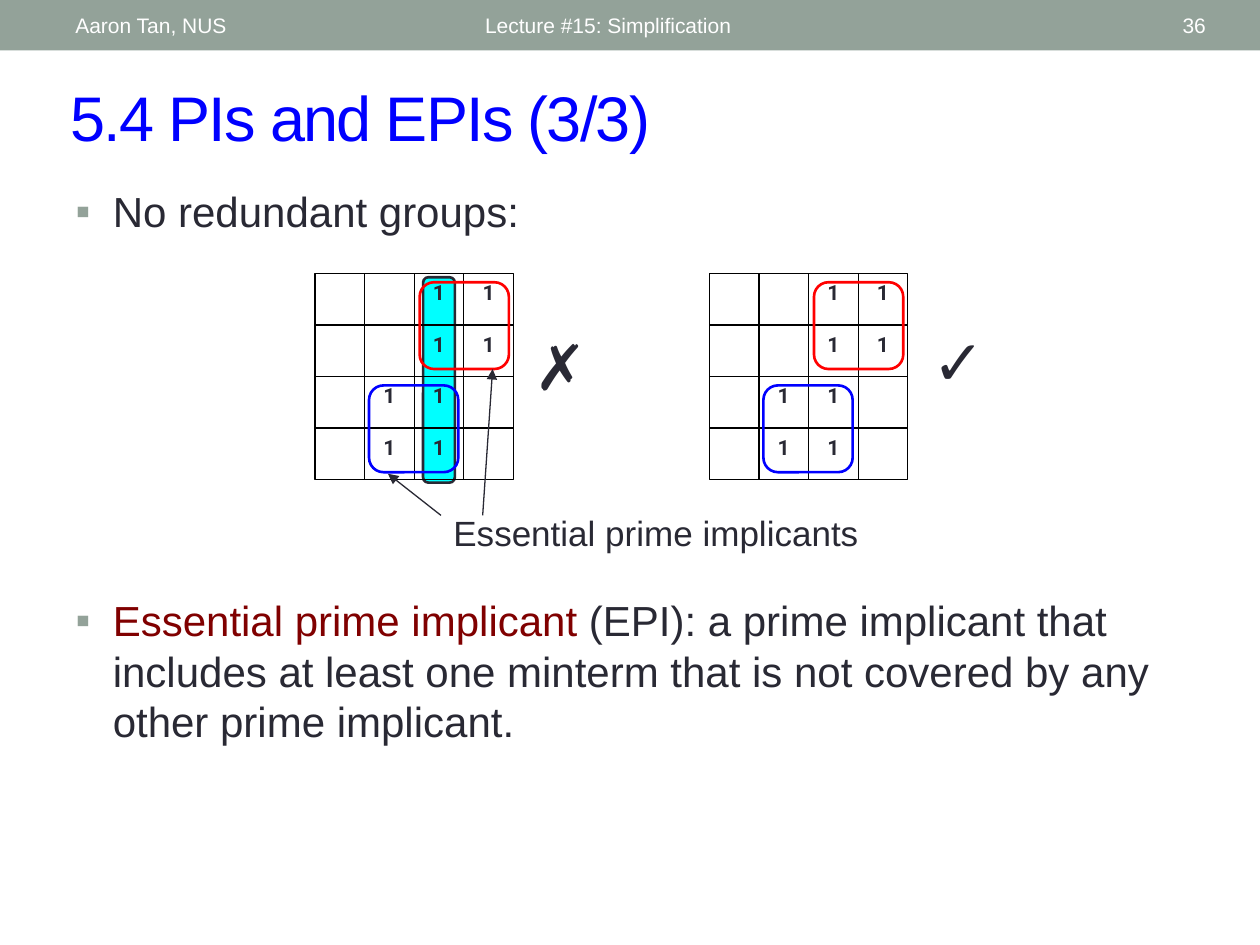
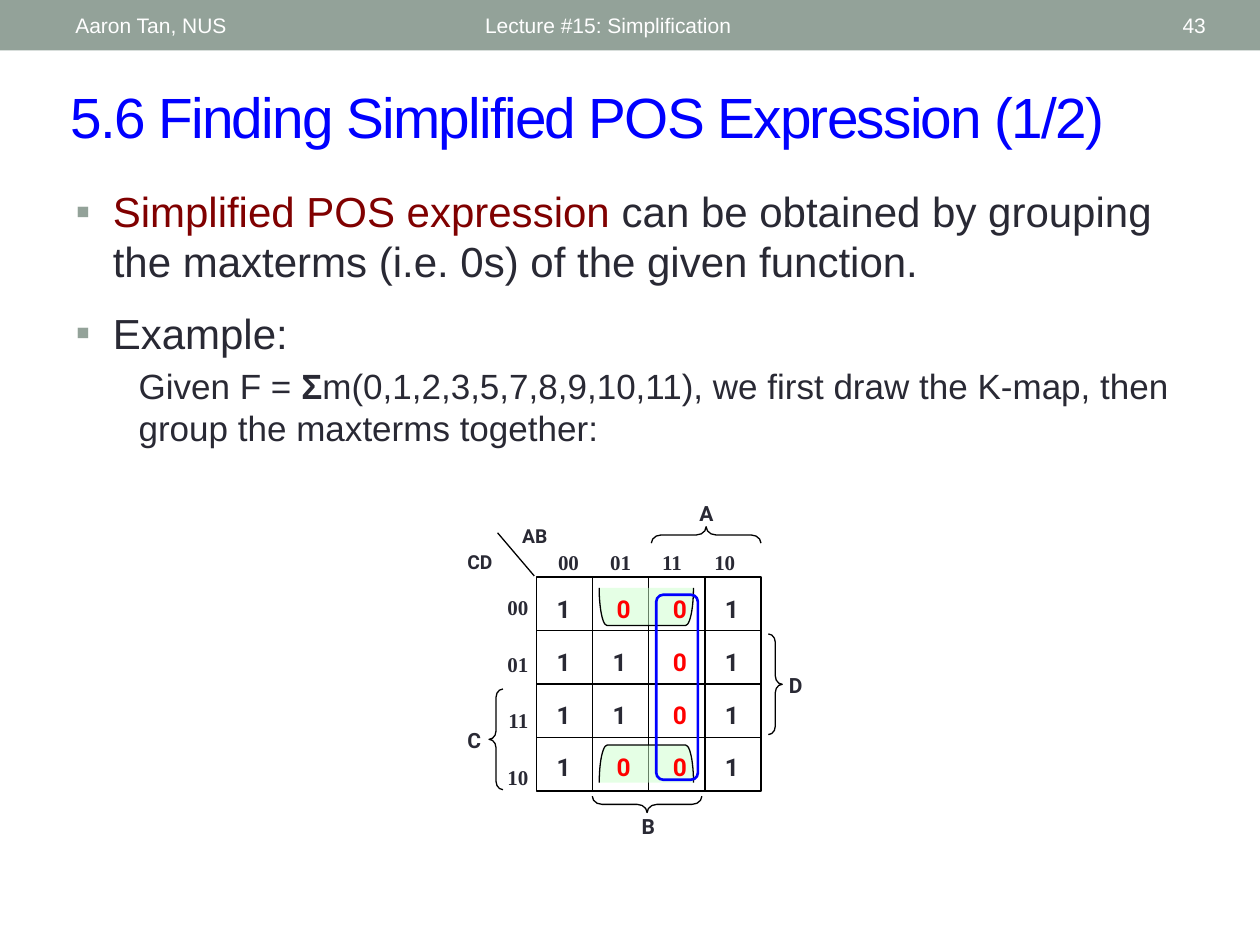
from dataclasses import dataclass

from lxml import etree
from pptx import Presentation
from pptx.dml.color import RGBColor
from pptx.enum.shapes import MSO_CONNECTOR, MSO_SHAPE
from pptx.enum.text import MSO_ANCHOR, MSO_AUTO_SIZE, PP_ALIGN
from pptx.oxml.ns import qn
from pptx.util import Cm, Pt

RECTANGLE, ROUNDED = MSO_SHAPE.RECTANGLE, MSO_SHAPE.ROUNDED_RECTANGLE
LEFT_BRACE, RIGHT_BRACE = MSO_SHAPE.LEFT_BRACE, MSO_SHAPE.RIGHT_BRACE
LEFT_BRACKET = MSO_SHAPE.LEFT_BRACKET
STRAIGHT = MSO_CONNECTOR.STRAIGHT
LEFT, CENTER, RIGHT = PP_ALIGN.LEFT, PP_ALIGN.CENTER, PP_ALIGN.RIGHT
TOP, MIDDLE = MSO_ANCHOR.TOP, MSO_ANCHOR.MIDDLE
FIXED_SIZE = MSO_AUTO_SIZE.NONE

ONE_LIST, TWO_LISTS = 1, 3  # template layouts
GRID = 4  # cells along each side of a K-map


@dataclass(frozen=True)
class Theme:
    """Colours, fonts and type sizes of the lecture."""
    band: str = "93A299"
    title: str = "0000FF"
    text: str = "292934"
    term: str = "800000"
    white: str = "FFFFFF"
    grid: str = "000000"
    red: str = "FF0000"
    blue: str = "0000FF"
    cyan: str = "00FFFF"
    green: str = "CCFFCC"
    sans: str = "Arial"
    digit: str = "Roboto"
    serif: str = "Times New Roman"
    title_size: float = 36
    long_title_size: float = 32.4
    mark_size: float = 36
    body_size: float = 24
    sub_size: float = 20
    cell_size: float = 14
    small_size: float = 12
    axis_size: float = 11
    thin: float = 0.75
    thick: float = 1.5


THEME = Theme()


def add_run(paragraph, text, *, size=THEME.body_size, color=THEME.text,
            font=THEME.sans, bold=False, tracking=0):
    """Append formatted text to a paragraph; tracking is in points."""
    run = paragraph.add_run()
    run.text = text
    run.font.size, run.font.name, run.font.bold = Pt(size), font, bold
    run.font.color.rgb = RGBColor.from_string(color)
    if tracking:
        run.font._element.set("spc", str(tracking * 100))


def add_xml(parent, tag, **attributes):
    """Append a DrawingML element and return it."""
    return etree.SubElement(parent, qn(tag), attributes)


def set_indent(paragraph, margin, hanging=0, bullet=None, level=0):
    """Set the indent of a paragraph and its bullet, or no bullet."""
    paragraph.level = level
    properties = paragraph._p.get_or_add_pPr()
    properties.set("marL", str(Cm(margin)))
    properties.set("indent", str(-Cm(hanging)))
    if bullet:
        add_xml(add_xml(properties, "a:buClr"), "a:srgbClr", val=THEME.band)
        add_xml(properties, "a:buChar", char=bullet)
    else:
        add_xml(properties, "a:buNone")


class Lecture:
    """The presentation, its style and the slide being drawn."""

    def __init__(self, theme):
        """Start an empty 4:3 presentation."""
        self.theme = theme
        self.deck = Presentation()
        self.deck.slide_width, self.deck.slide_height = Cm(25.4), Cm(19.05)
        self.slide = None

    def start_slide(self, layout, number, title, size=THEME.title_size):
        """Add a slide with its header line and title."""
        self.slide = self.deck.slides.add_slide(self.deck.slide_layouts[layout])
        if len(self.deck.slides) == 1:
            self.add_master_band()
        header = dict(size=self.theme.small_size, color=self.theme.white,
                      anchor=MIDDLE)
        self.label("Lecture #15: Simplification", 9.53, 0.05, 11.43, 0.91, **header)
        self.label(number, 22.15, 0.05, 2.41, 0.91, align=RIGHT, **header)
        self.label("Aaron Tan, NUS", 1.27, 0.05, 8.05, 0.91, **header)
        heading = self.slide.shapes.title
        frame = self.place(heading, 1.17, 1.45, 23.04, 1.78)
        frame.vertical_anchor = MIDDLE
        frame.paragraphs[0].alignment = LEFT
        add_run(frame.paragraphs[0], title, size=size,
                color=self.theme.title, tracking=-1)

    def add_master_band(self):
        """Put the top band on the slide master."""
        band = self.shape(RECTANGLE, 0, 0, 25.4, 1.02, fill=self.theme.band)
        self.deck.slide_master.shapes.element.insert(2, band.element)

    def place(self, placeholder, left, top, width, height):
        """Move a placeholder and return its text frame."""
        placeholder.left, placeholder.top = Cm(left), Cm(top)
        placeholder.width, placeholder.height = Cm(width), Cm(height)
        frame = placeholder.text_frame
        frame.auto_size, frame.word_wrap = FIXED_SIZE, True
        return frame

    def body(self, index, top, height):
        """Return the text frame of a body placeholder."""
        return self.place(self.slide.placeholders[index], 1.27, top, 22.86, height)

    def bullet(self, paragraph, text, term=""):
        """Fill a bulleted paragraph, opening with a highlighted term."""
        set_indent(paragraph, 0.75, 0.75, "▪")
        if term:
            add_run(paragraph, term, color=self.theme.term)
        add_run(paragraph, text)

    def label(self, text, left, top, width, height, align=LEFT, anchor=TOP,
              gap=0, tab_step=0, **style):
        """Add a text box, one paragraph a line, with a gap in points."""
        box = self.slide.shapes.add_textbox(Cm(left), Cm(top), Cm(width), Cm(height))
        frame = box.text_frame
        frame.word_wrap, frame.vertical_anchor = True, anchor
        for row, line in enumerate(text.split("\n")):
            paragraph = frame.add_paragraph() if row else frame.paragraphs[0]
            paragraph.alignment = align
            if gap:
                paragraph.space_after = Pt(gap)
            if tab_step:
                stops = add_xml(paragraph._p.get_or_add_pPr(), "a:tabLst")
                for stop in range(1, GRID):
                    add_xml(stops, "a:tab", pos=str(Cm(stop * tab_step)), algn="l")
            add_run(paragraph, line, **style)

    def shape(self, kind, left, top, width, height, fill=None, line=None,
              weight=THEME.thin, adjust=(), turn=0, opacity=100):
        """Add a preset shape; the box is the one seen after turning."""
        if turn in (90, 270):
            left, top = left + (width - height) / 2, top + (height - width) / 2
            width, height = height, width
        shape = self.slide.shapes.add_shape(
            kind, Cm(left), Cm(top), Cm(width), Cm(height))
        shape.shadow.inherit = False
        shape.rotation = turn
        for index, value in enumerate(adjust):
            shape.adjustments[index] = value
        if fill:
            shape.fill.solid()
            shape.fill.fore_color.rgb = RGBColor.from_string(fill)
            if opacity < 100:
                color = next(shape.element.iter(qn("a:srgbClr")))
                add_xml(color, "a:alpha", val=str(opacity * 1000))
        else:
            shape.fill.background()
        if line:
            shape.line.color.rgb = RGBColor.from_string(line)
            shape.line.width = Pt(weight)
        else:
            shape.line.fill.background()
        return shape

    def line(self, start, end, color=THEME.grid, arrow=False):
        """Draw a straight line, with an arrowhead at its end if asked."""
        connector = self.slide.shapes.add_connector(
            STRAIGHT, *(Cm(value) for value in (*start, *end)))
        connector.line.color.rgb = RGBColor.from_string(color)
        connector.line.width = Pt(self.theme.thin)
        properties = connector.element.find(qn("p:spPr"))
        if arrow:
            add_xml(properties.find(qn("a:ln")), "a:tailEnd", type="triangle")
        add_xml(properties, "a:effectLst")

    def kmap(self, rows, left, top, width, height):
        """Draw the frame and rules of a K-map and return its cell size."""
        across, down = width / GRID, height / GRID
        self.shape(RECTANGLE, left, top, width, height, line=self.theme.grid)
        for step in range(1, GRID):
            x, y = left + step * across, top + step * down
            self.line((left, y), (left + width, y))
            self.line((x, top), (x, top + height))

    def digits(self, rows, left, top, across, down, size, zero_shift=0):
        """Write the cell values of a K-map, zeros in red."""
        for row, values in enumerate(rows):
            for column, value in enumerate(values):
                if value == " ":
                    continue
                zero = value == "0"
                self.label(value, left + column * across + zero * zero_shift,
                           top + row * down, across, down, align=CENTER,
                           size=size, font=self.theme.digit, bold=True,
                           color=self.theme.red if zero else self.theme.text)

    def loop(self, left, top, width, height, color, fill=None):
        """Draw a rounded loop around a group of cells."""
        self.shape(ROUNDED, left, top, width, height, fill=fill, line=color,
                   weight=self.theme.thick, adjust=(0.167,))

    def brace(self, kind, left, top, width, height, turn=0):
        """Draw a brace beside a K-map."""
        self.shape(kind, left, top, width, height, line=self.theme.grid,
                   adjust=(0.6, 0.5), turn=turn)


def essential_implicants(lecture):
    """Slide on redundant groups and essential prime implicants."""
    theme = lecture.theme
    lecture.start_slide(TWO_LISTS, "36", "5.4 PIs and EPIs (3/3)")
    lecture.bullet(lecture.body(1, 3.61, 1.7).paragraphs[0], "No redundant groups:")
    lecture.bullet(
        lecture.body(2, 11.86, 4.24).paragraphs[0],
        " (EPI): a prime implicant that includes at least one minterm that is "
        "not covered by any other prime implicant.",
        term="Essential prime implicant")

    minterms = ("  11", "  11", " 11 ", " 11 ")
    top, side, tall = 5.51, 4, 4.16
    lecture.loop(8.53, 5.59, 0.64, 4.14, theme.text, fill=theme.cyan)
    for left, mark, mark_left, mark_top in ((6.35, "✗", 10.52, 6.48),
                                            (14.3, "✓", 18.54, 6.38)):
        lecture.kmap(minterms, left, top, side, tall)
        lecture.digits(minterms, left, top, side / GRID, tall / GRID,
                       theme.small_size)
        lecture.loop(left + 1.09, top + 2.26, 1.8, 1.75, theme.blue)
        lecture.loop(left + 2.11, top + 0.18, 1.8, 1.75, theme.red)
        lecture.label(mark, mark_left, mark_top, 1.98, 2.41, size=theme.mark_size)

    lecture.line((9.73, 10.39), (9.93, 7.44), theme.text, arrow=True)
    lecture.line((8.89, 10.39), (7.82, 9.55), theme.text, arrow=True)
    lecture.label("Essential prime implicants", 8.89, 10.19, 9.32, 1.09,
                  size=theme.sub_size)


def simplified_pos(lecture):
    """Slide on grouping the maxterms of a function."""
    theme = lecture.theme
    lecture.start_slide(ONE_LIST, "43", "5.6 Finding Simplified POS Expression (1/2)",
                        size=theme.long_title_size)
    frame = lecture.body(1, 3.61, 6.1)
    lecture.bullet(frame.paragraphs[0],
                   " can be obtained by grouping the maxterms (i.e. 0s) of the "
                   "given function.", term="Simplified POS expression")
    example = frame.add_paragraph()
    lecture.bullet(example, "Example:")
    example.space_before = Pt(12)
    given = frame.add_paragraph()
    set_indent(given, 1.27, level=1)
    add_run(given, "Given F = ", size=theme.sub_size)
    add_run(given, "Σ", size=theme.sub_size, bold=True)
    add_run(given, "m(0,1,2,3,5,7,8,9,10,11), we first draw the K-map, then "
            "group the maxterms together:", size=theme.sub_size)

    values = ("1001", "1101", "1101", "1001")
    lecture.kmap(values, 10.82, 11.63, 4.52, 4.32)
    for bracket_top, turn in ((15.02, 90), (11.85, 270)):
        lecture.shape(LEFT_BRACKET, 12.08, bracket_top, 1.9, 0.76,
                      fill=theme.green, opacity=50, line=theme.grid,
                      adjust=(0.21,), turn=turn)
    lecture.digits(values, 10.8, 11.86, 1.13, 1.06, theme.cell_size,
                   zero_shift=0.08)
    lecture.loop(13.23, 11.99, 0.84, 3.73, theme.blue)

    codes = dict(size=theme.small_size, font=theme.serif, bold=True)
    lecture.label("00\t01\t11\t10", 11, 10.95, 4.22, 0.86, tab_step=1.05, **codes)
    lecture.label("00\n01\n11\n10", 9.91, 11.86, 0.99, 4.47, align=RIGHT,
                  gap=18, **codes)

    lecture.line((10.77, 11.61), (10.03, 10.74))
    lecture.brace(LEFT_BRACE, 13.13, 10.62, 2.21, 0.33, turn=90)
    lecture.brace(LEFT_BRACE, 11.94, 16.05, 2.21, 0.33, turn=270)
    lecture.brace(LEFT_BRACE, 9.86, 13.89, 0.28, 2.03)
    lecture.brace(RIGHT_BRACE, 15.49, 12.78, 0.28, 2.03)
    for name, left, top, width, size in (
            ("A", 13.82, 9.96, 0.84, theme.small_size),
            ("B", 12.65, 16.28, 0.84, theme.small_size),
            ("C", 9.14, 14.55, 0.84, theme.small_size),
            ("D", 15.62, 13.44, 0.84, theme.small_size),
            ("AB", 10.13, 10.44, 1.3, theme.axis_size),
            ("CD", 8.89, 10.97, 1.57, theme.axis_size)):
        lecture.label(name, left, top, width, 0.8, align=CENTER, size=size,
                      font=theme.digit, bold=True)


def main():
    """Build both slides and save them."""
    lecture = Lecture(THEME)
    essential_implicants(lecture)
    simplified_pos(lecture)
    lecture.deck.save("out.pptx")


main()
